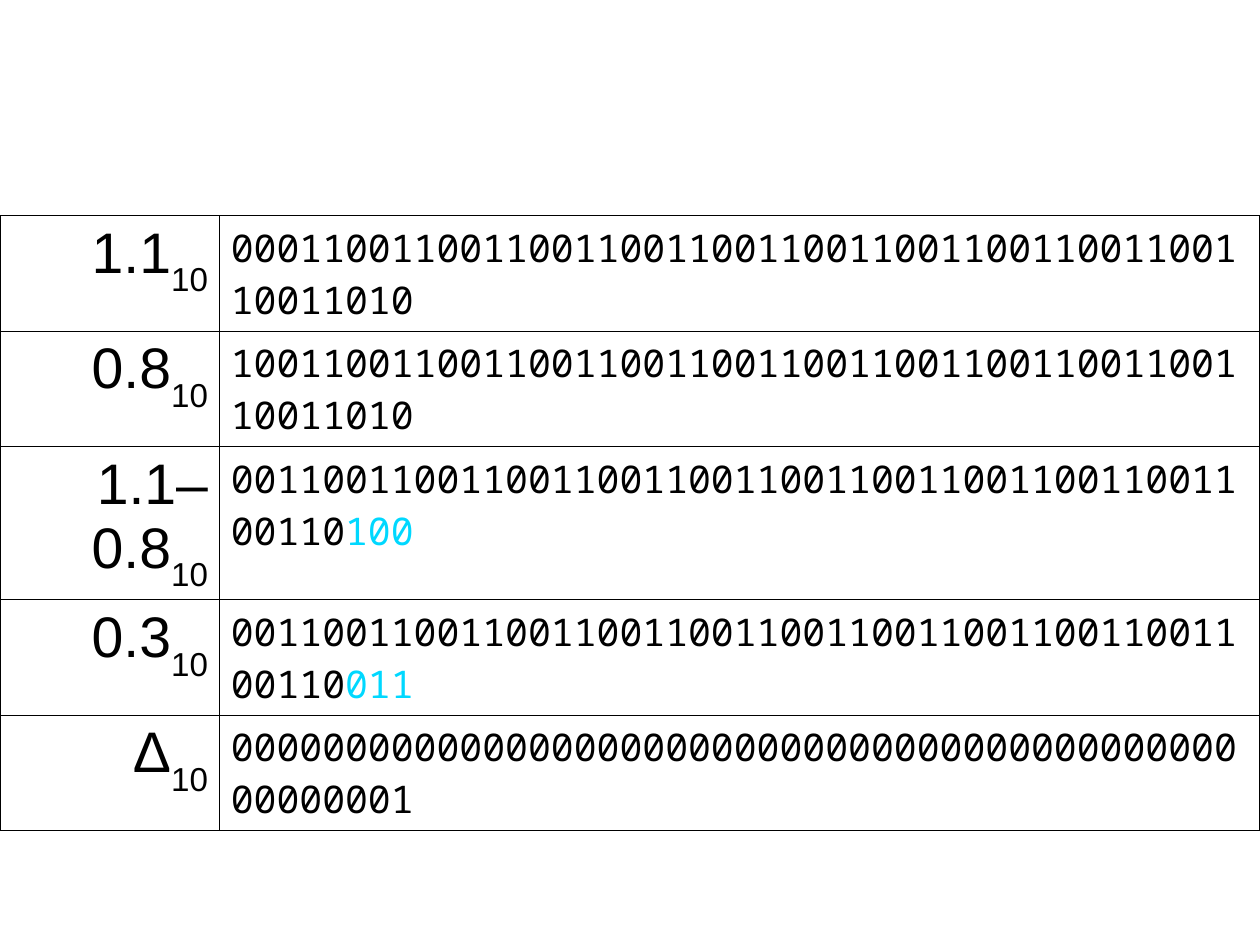
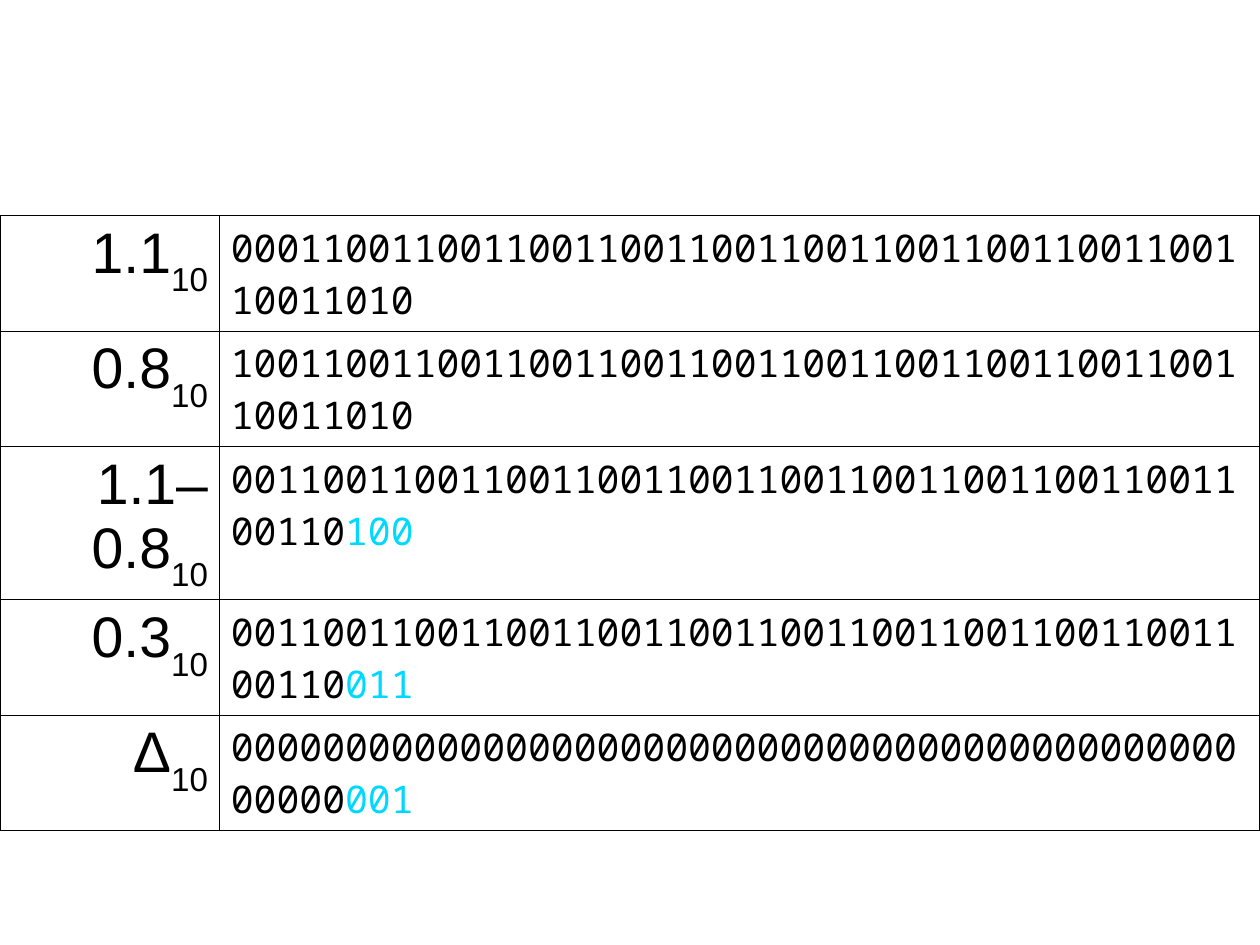
from lxml import etree
from pptx import Presentation
from pptx.dml.color import RGBColor
from pptx.enum.text import PP_ALIGN
from pptx.oxml.ns import qn
from pptx.util import Pt

RIGHT, LEFT = PP_ALIGN.RIGHT, PP_ALIGN.LEFT
COLORS = {"text": "000000", "line": "000000", "accent": "00D8FF"}
LABEL = {"font": "Arial", "size": 36}
BITS = {"font": "Noto Sans Mono", "size": 24}
SLIDE_W, SLIDE_H = 793.75, 595.25
COLS = (138.2, 655.2)
TOP, ROW_H, LINE_W = 135.75, 64.8, 0.5
ACCENT_BITS = 3


def add_run(p, text, font="Arial", size=24, color="text", baseline=None):
    r = p.add_run()
    r.text = text
    r.font.name = font
    r.font.size = Pt(size)
    r.font.color.rgb = RGBColor.from_string(COLORS[color])
    if baseline is not None:
        r.font._element.set("baseline", str(baseline))


def add_borders(cell):
    tcPr = cell._tc.get_or_add_tcPr()
    for i, side in enumerate(("lnL", "lnR", "lnT", "lnB")):
        ln = etree.Element(qn(f"a:{side}"), w=str(Pt(LINE_W)))
        fill = etree.SubElement(ln, qn("a:solidFill"))
        etree.SubElement(fill, qn("a:srgbClr"), val=COLORS["line"])
        tcPr.insert(i, ln)


# Mantissas: label, bits, and whether the last bits are highlighted
rows = [
    ("1.1", "0001100110011001100110011001100110011001100110011010", False),
    ("0.8", "1001100110011001100110011001100110011001100110011010", False),
    ("1.1–0.8", "0011001100110011001100110011001100110011001100110100", True),
    ("0.3", "0011001100110011001100110011001100110011001100110011", True),
]
delta = ("Δ", "0" * 51 + "1")

prs = Presentation()
prs.slide_width, prs.slide_height = Pt(SLIDE_W), Pt(SLIDE_H)

# The second slide also highlights the difference
for mark_delta in (False, True):
    s = prs.slides.add_slide(prs.slide_layouts[6])
    data = rows + [(*delta, mark_delta)]
    table = s.shapes.add_table(len(data), len(COLS), 0, Pt(TOP), Pt(sum(COLS)),
                               Pt(ROW_H * len(data))).table
    table.first_row = table.horz_banding = False
    for col, width in zip(table.columns, COLS):
        col.width = Pt(width)

    for row, (label, bits, marked) in zip(table.rows, data):
        row.height = Pt(ROW_H)
        for cell, align in zip(row.cells, (RIGHT, LEFT)):
            cell.fill.background()
            add_borders(cell)
            cell.text_frame.paragraphs[0].alignment = align

        # Label with its base as a subscript
        p = row.cells[0].text_frame.paragraphs[0]
        add_run(p, label, **LABEL)
        add_run(p, "10", baseline=-33000, **LABEL)

        # Bits
        p = row.cells[1].text_frame.paragraphs[0]
        split = len(bits) - ACCENT_BITS if marked else len(bits)
        add_run(p, bits[:split], **BITS)
        if marked:
            add_run(p, bits[split:], color="accent", **BITS)

prs.save("out.pptx")
